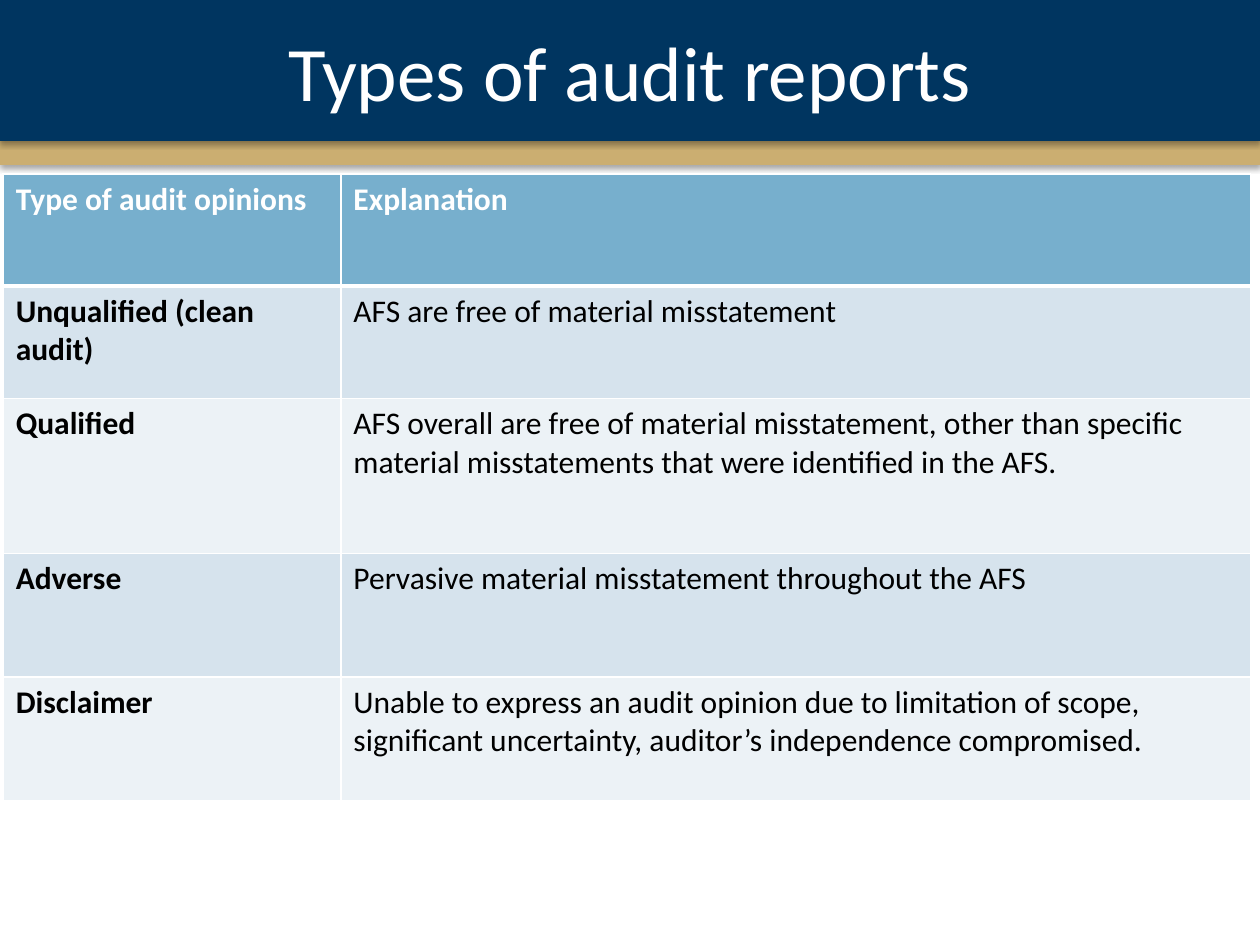
from dataclasses import dataclass

from lxml.etree import SubElement
from pptx import Presentation
from pptx.dml.color import RGBColor
from pptx.enum.shapes import MSO_SHAPE
from pptx.enum.text import MSO_ANCHOR, PP_ALIGN
from pptx.oxml.ns import qn
from pptx.shapes.autoshape import Shape
from pptx.slide import Slide
from pptx.table import _Cell
from pptx.text.text import _Paragraph
from pptx.util import Pt


@dataclass(frozen=True)
class Theme:
    font: str = "Calibri"
    title_size: float = 44
    body_size: float = 18
    navy: str = "003560"
    gold: str = "CBAE71"
    header: str = "77AFCD"
    row_fills: tuple[str, str] = ("D6E3ED", "ECF2F6")
    light: str = "FFFFFF"
    dark: str = "000000"
    thin_border: float = 1
    thick_border: float = 3


@dataclass(frozen=True)
class Opinion:
    name: str
    explanation: str
    height: float


THEME = Theme()
SLIDE_WIDTH, SLIDE_HEIGHT = 720, 540
TITLE_HEIGHT, BAND_HEIGHT = 80.6, 13.7
TABLE_LEFT, TABLE_TOP = 1.8, 99.4
COLUMN_WIDTHS = (193, 519.8)
ROWS = (
    Opinion("Type of audit opinions", "Explanation", 64.1),
    Opinion("Unqualified (clean audit)", "AFS are free of material misstatement", 64.1),
    Opinion(
        "Qualified",
        "AFS overall are free of material misstatement, other than specific "
        "material misstatements that were identified in the AFS.",
        88.6,
    ),
    Opinion("Adverse", "Pervasive material misstatement throughout the AFS", 70.6),
    Opinion(
        "Disclaimer",
        "Unable to express an audit opinion due to limitation of scope, "
        "significant uncertainty, auditor’s independence compromised.",
        70.6,
    ),
)


def add_run(paragraph: _Paragraph, text: str, size: float, color: str, bold: bool) -> None:
    run = paragraph.add_run()
    run.text = text
    run.font.name = THEME.font
    run.font.size = Pt(size)
    run.font.bold = bold
    run.font.color.rgb = RGBColor.from_string(color)


def style_bar(shape: Shape, top: float, height: float, color: str) -> None:
    shape.left, shape.top = Pt(0), Pt(top)
    shape.width, shape.height = Pt(SLIDE_WIDTH), Pt(height)
    shape.fill.solid()
    shape.fill.fore_color.rgb = RGBColor.from_string(color)
    shape.line.fill.background()
    shape.shadow.inherit = False
    effects = shape.element.spPr.find(qn("a:effectLst"))
    shadow = SubElement(
        effects, qn("a:outerShdw"),
        blurRad=str(Pt(3.1)), dist=str(Pt(1.8)), dir="5400000", rotWithShape="0",
    )
    shadow_color = SubElement(shadow, qn("a:srgbClr"), val=THEME.dark)
    SubElement(shadow_color, qn("a:alpha"), val="35000")


def add_border(cell: _Cell, side: str, width: float) -> None:
    properties = cell._tc.get_or_add_tcPr()
    line = SubElement(properties, qn(f"a:ln{side}"), w=str(Pt(width)))
    fill = SubElement(line, qn("a:solidFill"))
    SubElement(fill, qn("a:srgbClr"), val=THEME.light)


def style_cell(cell: _Cell, text: str, row_index: int, bold: bool) -> None:
    is_header = row_index == 0
    thick_side = {0: "B", 1: "T"}.get(row_index)
    for side in "LRTB":
        add_border(cell, side, THEME.thick_border if side == thick_side else THEME.thin_border)
    fill = THEME.header if is_header else THEME.row_fills[(row_index - 1) % 2]
    cell.fill.solid()
    cell.fill.fore_color.rgb = RGBColor.from_string(fill)
    color = THEME.light if is_header else THEME.dark
    add_run(cell.text_frame.paragraphs[0], text, THEME.body_size, color, bold)


def add_heading(slide: Slide) -> None:
    title = slide.shapes.title
    style_bar(title, 0, TITLE_HEIGHT, THEME.navy)
    title.text_frame.vertical_anchor = MSO_ANCHOR.MIDDLE
    paragraph = title.text_frame.paragraphs[0]
    paragraph.alignment = PP_ALIGN.CENTER
    add_run(paragraph, "Types of audit reports", THEME.title_size, THEME.light, False)

    band = slide.shapes.add_shape(
        MSO_SHAPE.RECTANGLE, Pt(0), Pt(TITLE_HEIGHT), Pt(SLIDE_WIDTH), Pt(BAND_HEIGHT)
    )
    style_bar(band, TITLE_HEIGHT, BAND_HEIGHT, THEME.gold)
    title.element.addprevious(band.element)


def add_opinion_table(slide: Slide) -> None:
    table = slide.shapes.add_table(
        len(ROWS), len(COLUMN_WIDTHS), Pt(TABLE_LEFT), Pt(TABLE_TOP),
        Pt(sum(COLUMN_WIDTHS)), Pt(sum(row.height for row in ROWS)),
    ).table
    for column, width in zip(table.columns, COLUMN_WIDTHS):
        column.width = Pt(width)
    for row_index, opinion in enumerate(ROWS):
        table.rows[row_index].height = Pt(opinion.height)
        style_cell(table.cell(row_index, 0), opinion.name, row_index, True)
        style_cell(table.cell(row_index, 1), opinion.explanation, row_index, row_index == 0)


def main() -> None:
    presentation = Presentation()
    presentation.slide_width, presentation.slide_height = Pt(SLIDE_WIDTH), Pt(SLIDE_HEIGHT)
    slide = presentation.slides.add_slide(presentation.slide_layouts.get_by_name("Title Only"))
    add_heading(slide)
    add_opinion_table(slide)
    presentation.save("out.pptx")


if __name__ == "__main__":
    main()
